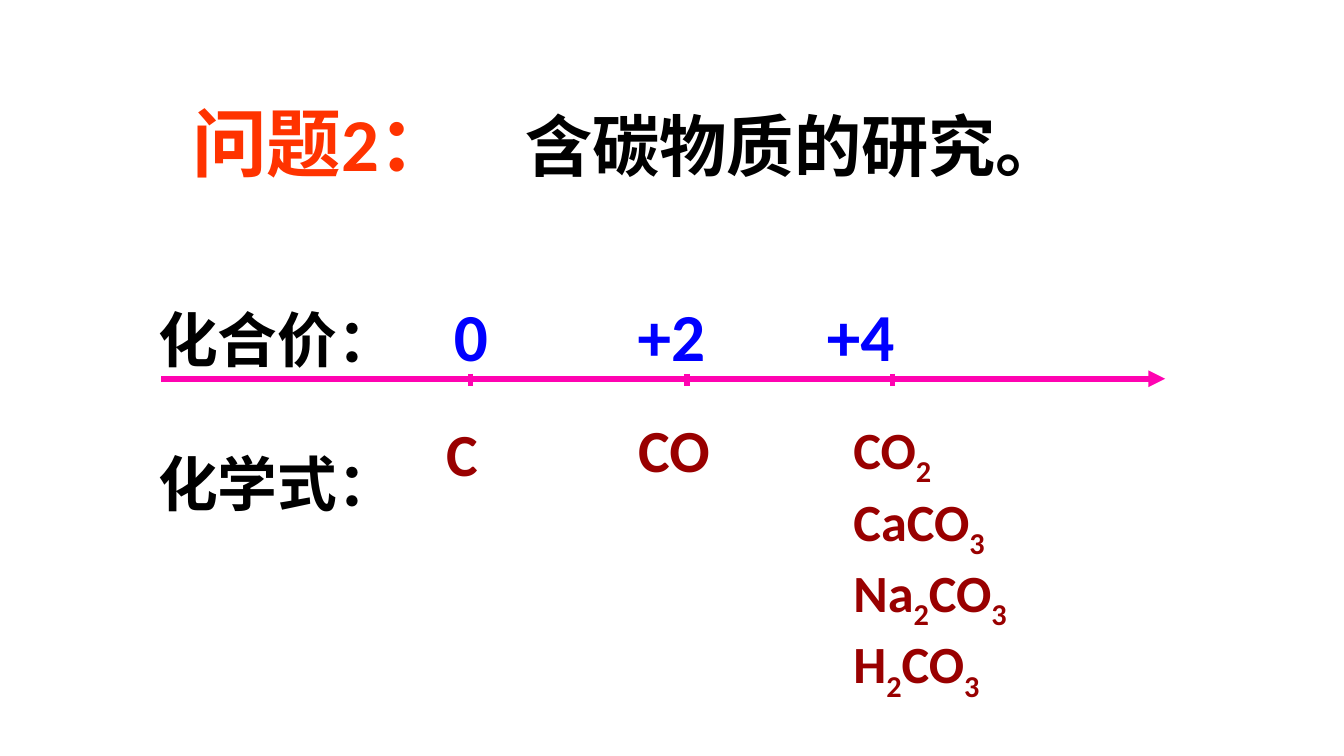
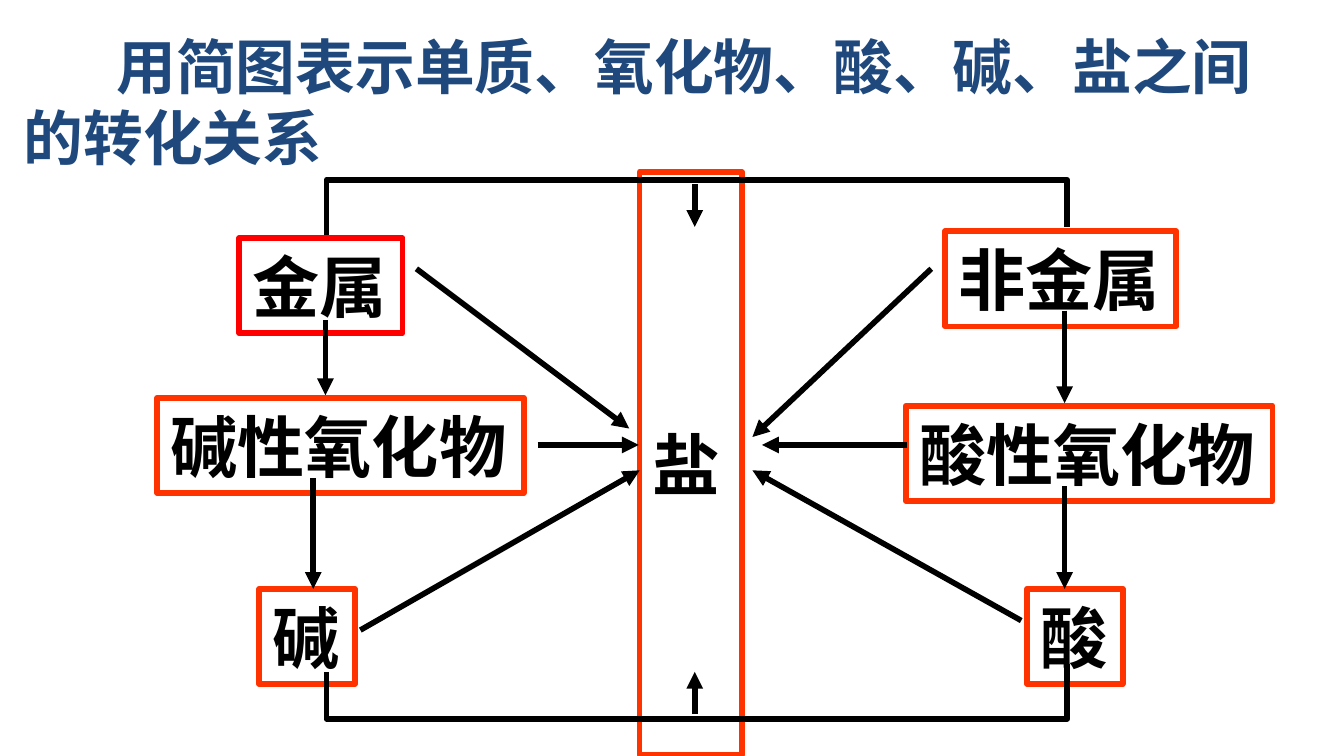
"""Build two chemistry slides: carbon valences and a map of conversions."""
from itertools import groupby
from lxml.etree import SubElement as Sub
from pptx import Presentation
from pptx.dml.color import RGBColor as Rgb
from pptx.enum.shapes import MSO_CONNECTOR as Link, MSO_SHAPE as Form
from pptx.enum.text import MSO_ANCHOR as Anchor, PP_ALIGN as Align
from pptx.oxml.ns import qn
from pptx.util import Cm, Pt

COLORS = {
    "black": "000000", "orange": "FF3300", "red": "FF0000", "pink": "FF03B1",
    "blue": "0000FF", "brown": "990000", "navy": "1F497D",
}
STROKE = Pt(3)

TOPIC = [("问题2：", 40, "orange"), ("\t", 44, "orange"), ("含碳物质的研究。", 36, "black")]
TOPIC_TAB = 6.3
LABELS = ["化合价：", "化学式："]
VALENCES = ["0", "+2", "+4"]
VALENCE_TABS = [3.47, 7.05]
SALTS = ["CO2", "CaCO3", "Na2CO3", "H2CO3"]
AXIS = (3.05, 22.02, 7.16)
TICKS = [8.89, 12.98, 16.87]

HEADING = "用简图表示单质、氧化物、酸、碱、盐之间的转化关系"
NODES = [
    ("金属", 4.52, 4.5, "red"),
    ("碱性氧化物", 2.97, 7.52, "orange"),
    ("碱", 4.9, 11.13, "orange"),
    ("非金属", 17.86, 4.37, "orange"),
    ("酸性氧化物", 17.12, 7.67, "orange"),
    ("酸", 19.41, 11.13, "orange"),
]
SALT = ("盐", 12.09, 3.25, 1.93, 11.02, "orange")
ARROWS = [
    (7.87, 5.08, 11.89, 8.1), (6.81, 11.91, 12.09, 8.89),
    (19.3, 11.73, 14.22, 8.89), (17.6, 5.08, 14.22, 8.26),
    (17.15, 8.41, 14.4, 8.41), (10.16, 8.41, 12.07, 8.41),
    (5.92, 9.04, 5.92, 11.13), (6.15, 6.05, 6.15, 7.47),
    (20.12, 5.87, 20.12, 7.62), (20.12, 9.19, 20.12, 11.13),
    (13.13, 13.49, 13.13, 12.7), (13.13, 3.48, 13.13, 4.29),
]
LEFT, RIGHT = 6.17, 20.17
FRAMES = [(3.4, 4.45, 4.29), (13.59, 12.7, 12.55)]


def tint(name):
    return Rgb.from_string(COLORS[name])


def style(font, size, color, face="Calibri"):
    font.size, font.bold, font.name = Pt(size), True, face
    font.color.rgb = tint(color)


def set_tabs(para, stops):
    tabs = Sub(para._p.get_or_add_pPr(), qn("a:tabLst"))
    for stop in stops:
        Sub(tabs, qn("a:tab"), pos=str(Cm(stop)), algn="l")


def add_text(slide, box, lines, size, color, tabs=(), inset=0, gap=0):
    frame = slide.shapes.add_textbox(*map(Cm, box)).text_frame
    frame.word_wrap = True
    for i, line in enumerate(lines):
        para = frame.add_paragraph() if i else frame.paragraphs[0]
        if i and gap:
            para.space_before = Pt(gap)
        if inset:
            para._p.get_or_add_pPr().set("indent", str(Cm(inset)))
        if tabs:
            set_tabs(para, tabs)
        style(para.font, size, color)
        para.add_run().text = line
    return frame


def add_salts(slide, box):
    frame = add_text(slide, box, [""] * len(SALTS), 28, "brown")
    for para, salt in zip(frame.paragraphs, SALTS):
        para.alignment = Align.JUSTIFY
        para.clear()
        for low, part in groupby(salt, str.isdigit):
            run = para.add_run()
            run.text = "".join(part)
            if low:
                run._r.get_or_add_rPr().set("baseline", "-25000")


def add_line(slide, ends, color, arrow=True):
    line = slide.shapes.add_connector(Link.STRAIGHT, *map(Cm, ends))
    line.line.color.rgb, line.line.width = tint(color), STROKE
    if arrow:
        Sub(line.line._get_or_add_ln(), qn("a:tailEnd"), type="triangle")
    Sub(line._element.spPr, qn("a:effectLst"))


def outline(shape, color):
    shape.shadow.inherit = False
    shape.fill.background()
    shape.line.color.rgb, shape.line.width = tint(color), STROKE


def add_node(slide, text, x, y, wide, high, color):
    node = slide.shapes.add_shape(Form.RECTANGLE, *map(Cm, (x, y, wide, high)))
    outline(node, color)
    frame = node.text_frame
    frame.word_wrap, frame.vertical_anchor = False, Anchor.MIDDLE
    para = frame.paragraphs[0]
    para.alignment = Align.LEFT
    style(para.font, 36, "black", "Arial")
    para.add_run().text = text


def add_frame(slide, level, left, right):
    points = [(LEFT, left), (LEFT, level), (RIGHT, level), (RIGHT, right)]
    start, *rest = [(Cm(x), Cm(y)) for x, y in points]
    pen = slide.shapes.build_freeform(*start)
    pen.add_line_segments(rest, close=False)
    outline(pen.convert_to_shape(), "black")


def carbon(slide):
    frame = slide.shapes.add_textbox(Cm(3.38), Cm(1.57), Cm(18.95), Cm(2.13)).text_frame
    frame.word_wrap = True
    para = frame.paragraphs[0]
    set_tabs(para, [TOPIC_TAB])
    for text, size, color in TOPIC:
        run = para.add_run()
        run.text = text
        style(run.font, size, color)
    add_salts(slide, (15.88, 7.77, 5.49, 3.89))
    add_text(slide, (7.75, 7.75, 2.39, 1.12), ["C"], 32, "brown", inset=0.43)
    add_text(slide, (11.81, 7.67, 2.74, 1.17), ["CO"], 32, "brown")
    start, end, y = AXIS
    add_line(slide, (start, y, end, y), "pink")
    for x in TICKS:
        add_line(slide, (x, 7.06, x, 7.29), "pink", arrow=False)
    add_text(slide, (8.33, 5.44, 8.94, 1.8), ["\t".join(VALENCES)], 36, "blue", tabs=VALENCE_TABS)
    add_text(slide, (2.74, 5.59, 5.23, 4.37), LABELS, 32, "black", gap=39)


def conversions(slide):
    for text, x, y, color in NODES:
        add_node(slide, text, x, y, 0.53 + 1.28 * len(text), 1.8, color)
    add_node(slide, *SALT)
    frame = add_text(slide, (0.2, 0.64, 24.69, 2.54), [HEADING], 32, "navy", inset=1.75)
    frame.vertical_anchor = Anchor.MIDDLE
    for ends in ARROWS:
        add_line(slide, ends, "black")
    for sides in FRAMES:
        add_frame(slide, *sides)


def main():
    deck = Presentation()
    deck.slide_width, deck.slide_height = Cm(25.4), Cm(14.29)
    for build in (carbon, conversions):
        build(deck.slides.add_slide(deck.slide_layouts[6]))
    deck.save("out.pptx")


if __name__ == "__main__":
    main()
